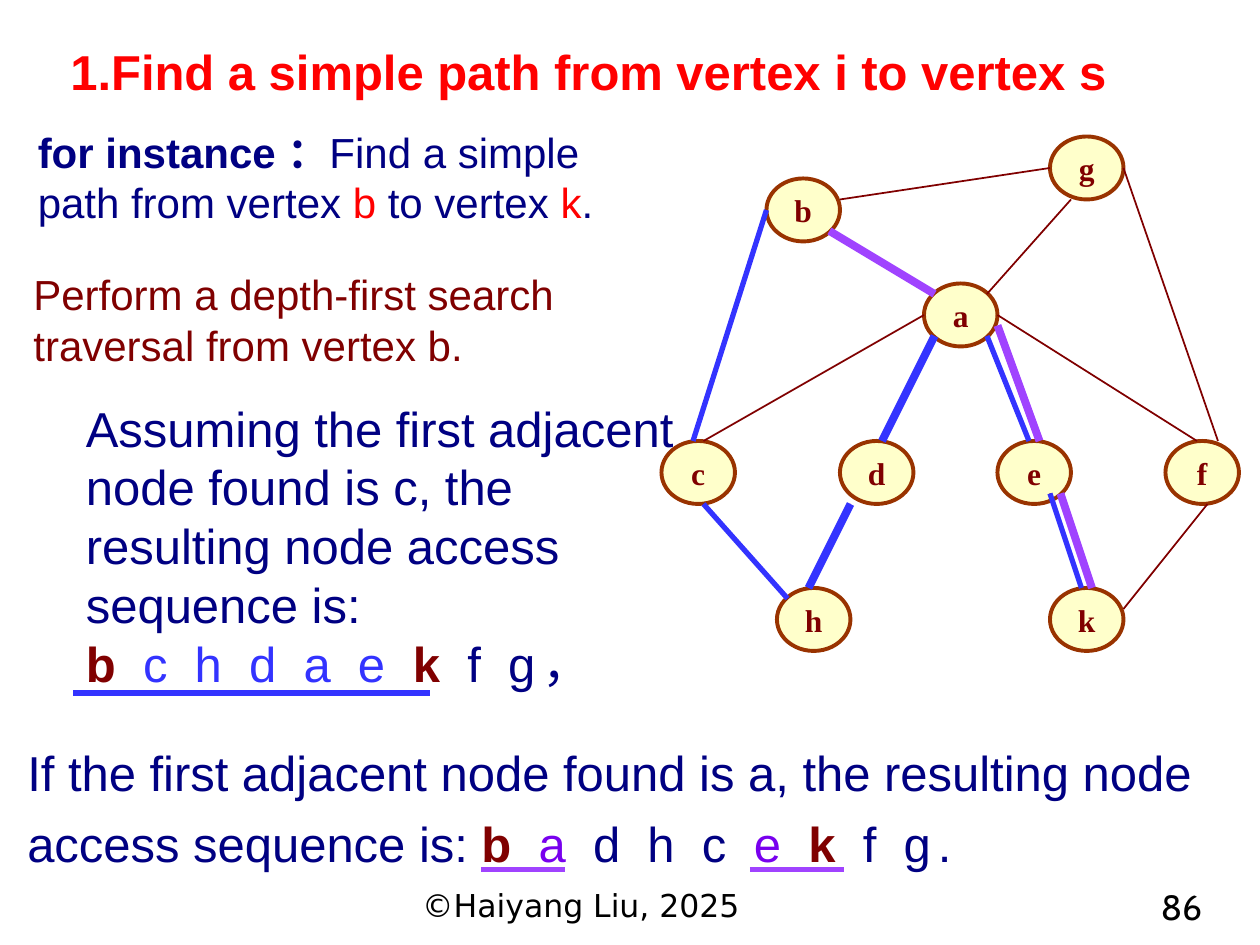
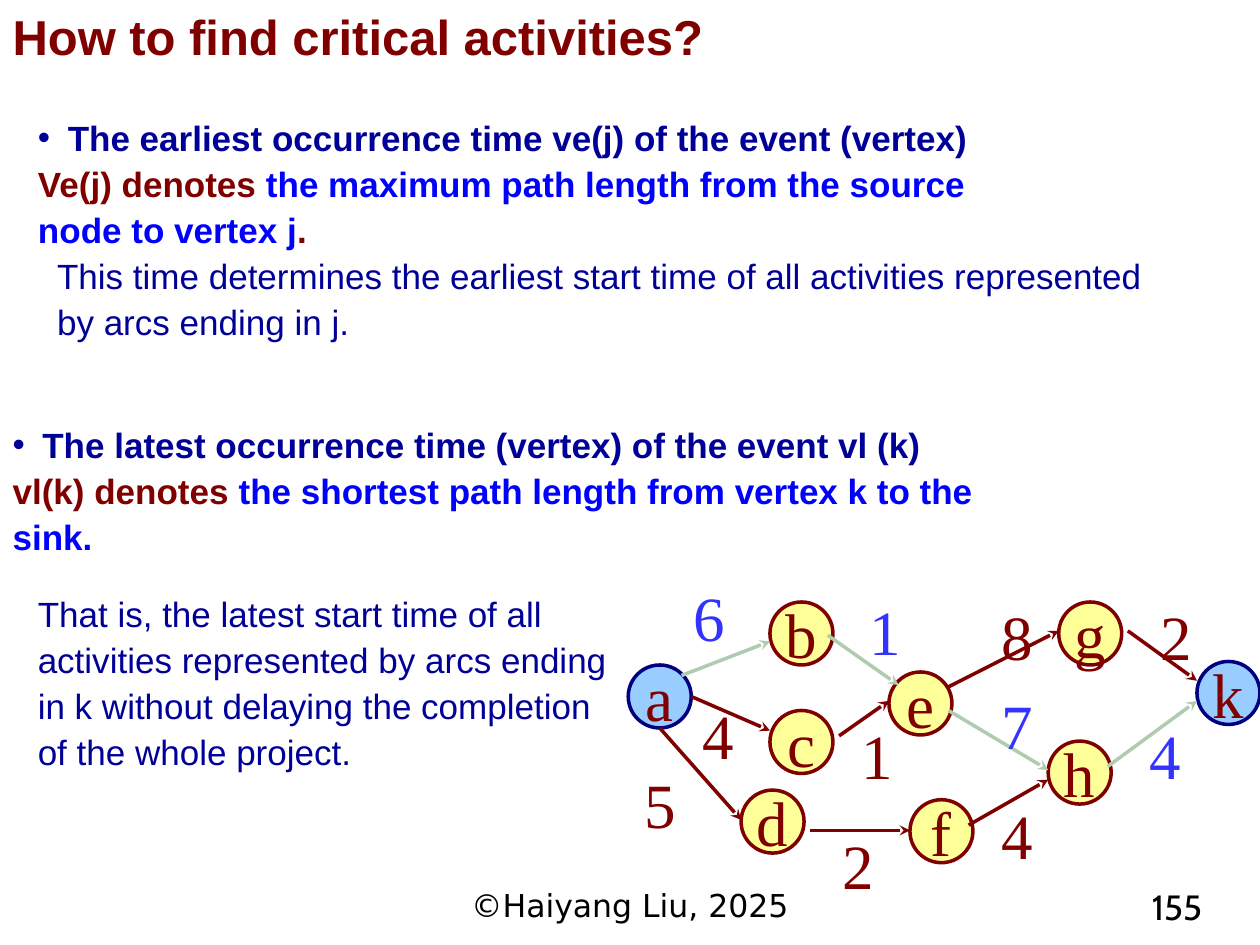
from lxml import etree
from pptx import Presentation
from pptx.dml.color import RGBColor
from pptx.enum import shapes as kinds, text as tx
from pptx.oxml.ns import qn
from pptx.util import Pt

# Shared look
RED = RGBColor(0xFF, 0x00, 0x00)
MAROON = RGBColor(0x80, 0x00, 0x00)
NAVY = RGBColor(0x00, 0x00, 0x82)
INDIGO = RGBColor(0x00, 0x00, 0x99)
DARK_BLUE = RGBColor(0x00, 0x00, 0x80)
BLUE = RGBColor(0x00, 0x00, 0xFF)
BRIGHT_BLUE = RGBColor(0x33, 0x33, 0xFF)
PURPLE = RGBColor(0xA0, 0x43, 0xFF)
VIOLET = RGBColor(0x78, 0x00, 0xEE)
BROWN = RGBColor(0x99, 0x33, 0x00)
YELLOW = RGBColor(0xFF, 0xFF, 0x99)
SKY = RGBColor(0x99, 0xCC, 0xFF)
PALE_GREEN = RGBColor(0xB0, 0xCC, 0xB0)
BLACK = RGBColor(0x00, 0x00, 0x00)
SANS, SERIF = "Arial", "Times New Roman"
TITLE_SIZE = 28
COPYRIGHT = "©Haiyang Liu, 2025"
VISIT_GAP = 3.9  # letter spacing inside a visiting sequence

# Slide 1 content; runs are (text, colour, bold, letter spacing)
PATH_TITLE = "1.Find a simple path from vertex i to vertex s"
INSTANCE = [[("for instance ：", NAVY, True), ("Find a simple path from vertex ", NAVY),
             ("b", RED), (" to vertex ", NAVY), ("k", RED), (".", NAVY)]]
SEARCH = [[("Perform a depth-first search traversal from vertex b.", MAROON)]]
FIRST_C = [
    [("Assuming the first adjacent node found is c, the resulting node access "
      "sequence is:", NAVY)],
    [("b ", MAROON, True, VISIT_GAP), ("c h d a e ", BRIGHT_BLUE, False, VISIT_GAP),
     ("k", MAROON, True, VISIT_GAP), (" f g", NAVY, False, VISIT_GAP), ("，", NAVY)]]
FIRST_A = [
    [("If the first adjacent node found is a, the resulting node access sequence is: ", NAVY),
     ("b ", MAROON, True, VISIT_GAP), ("a", VIOLET, False, VISIT_GAP),
     (" d h c ", NAVY, False, VISIT_GAP), ("e ", VIOLET, False, VISIT_GAP),
     ("k", MAROON, True, VISIT_GAP), (" f g", NAVY, False, VISIT_GAP), (".", NAVY)]]
GRAPH_NODES = {"a": (528, 162), "b": (438, 102), "c": (378, 252), "h": (444, 336),
               "d": (480, 252), "e": (570, 252), "k": (600, 336), "f": (666, 252),
               "g": (600, 78)}
GRAPH_EDGES = {"ac": (528, 180, 402, 252), "ch": (402, 288, 450, 342),
               "gf": (642, 96, 696, 252), "ad": (534, 192, 504, 252),
               "dh": (486, 288, 462, 336), "ek": (600, 282, 618, 336),
               "ae": (564, 192, 588, 252), "af": (570, 180, 684, 252),
               "fk": (690, 288, 642, 348), "bg": (480, 114, 600, 96),
               "ba": (474, 132, 534, 168), "ga": (612, 114, 564, 168),
               "bc": (438, 120, 396, 252)}
PATH_VIA_C = {"bc": 3, "ch": 3, "dh": 4.5, "ad": 4.5, "ae": 3, "ek": 3}
PATH_VIA_A = [GRAPH_EDGES["ba"], (570, 186, 594, 252), (606, 282, 624, 336)]
UNDERLINES = [(42, 246, 396, BRIGHT_BLUE), (275, 323, 497, PURPLE), (428.5, 482.5, 497, PURPLE)]

# Slide 2 content
CRITICAL_TITLE = "How to find critical activities?"
EARLIEST = [
    [("The earliest occurrence time ve(j) of the event (vertex)", INDIGO, True)],
    [("Ve(j) denotes ", MAROON, True),
     ("the maximum path length from the source node to vertex j", BLUE, True),
     (".", MAROON, True)]]
LATEST = [
    [("The latest occurrence time (vertex) of the event vl (k)", INDIGO, True)],
    [("vl(k) denotes ", MAROON, True),
     ("the shortest path length from vertex k to the sink.", BLUE, True)]]
EARLIEST_NOTE = [[("This time determines the earliest start time of all activities "
                   "represented by arcs ending in j.", INDIGO)]]
LATEST_NOTE = [[("That is, the latest start time of all activities represented by arcs "
                 "ending in k without delaying the completion of the whole project.", INDIGO)]]
EVENTS = {"a": (359, 380), "b": (440, 344), "c": (440, 406), "d": (423.5, 451.5),
          "e": (508, 384), "f": (520, 457), "g": (605, 344), "h": (599, 423.5),
          "k": (684, 378)}
# (activity, arrow ends, weight, weight position)
ACTIVITIES = [
    ("ab", (389.5, 386, 440, 366.5), "6", (389, 327)),
    ("ac", (395, 398, 440, 417.5), "4", (394.5, 394.5)),
    ("ad", (377, 416, 423.5, 468.5), "5", (361, 434)),
    ("be", (473, 363, 513.5, 391.5), "1", (490, 335)),
    ("ce", (479.5, 420.5, 508, 400.5), "1", (485, 406)),
    ("df", (463, 474.5, 520, 474.5), "2", (474.5, 468.5)),
    ("eg", (542, 392.5, 605, 360.5), "8", (565, 338)),
    ("eh", (542, 406, 599, 440), "7", (565, 389)),
    ("fh", (553.5, 471.5, 599, 445.5), "4", (565, 451.5)),
    ("gk", (644.5, 360.5, 684, 389), "2", (656, 338)),
    ("hk", (633, 438, 684, 400.5), "4", (650, 406))]
CRITICAL_PATH = {"ab", "be", "eh", "hk"}


def style(font, size, color, name=SANS, bold=False):
    font.size, font.name, font.bold = Pt(size), name, bold
    font.color.rgb = color


def place(shape, box):
    shape.left, shape.top, shape.width, shape.height = map(Pt, box)


def write(frame, paragraphs, size, spacing=None, name=SANS):
    frame.word_wrap = True
    for i, runs in enumerate(paragraphs):
        para = frame.paragraphs[0] if i == 0 else frame.add_paragraph()
        if spacing:
            para.line_spacing = spacing
        for words, color, *rest in runs:
            run = para.add_run()
            run.text = words
            style(run.font, size, color, name, bool(rest and rest[0]))
            if len(rest) > 1:
                run.font._element.set("spc", str(int(rest[1] * 100)))


def add_text(slide, box, paragraphs, size, spacing=None, name=SANS):
    area = slide.shapes.add_textbox(*map(Pt, box))
    write(area.text_frame, paragraphs, size, spacing, name)
    return area.text_frame


def add_title(slide, box, words, color):
    title = slide.shapes.title
    place(title, box)
    frame = title.text_frame
    frame.text = words
    frame.auto_size = tx.MSO_AUTO_SIZE.NONE
    frame.vertical_anchor = tx.MSO_ANCHOR.TOP
    frame.paragraphs[0].alignment = tx.PP_ALIGN.LEFT
    style(frame.paragraphs[0].runs[0].font, TITLE_SIZE, color, bold=True)


def add_definition(body, box, paragraphs):
    """Bulleted term followed by its unbulleted meaning."""
    place(body, box)
    write(body.text_frame, paragraphs, 20, 1.1)
    body.text_frame.auto_size = tx.MSO_AUTO_SIZE.NONE
    for i, para in enumerate(body.text_frame.paragraphs):
        para.space_before = Pt(0)
        props = para._p.get_or_add_pPr()
        hang = Pt(17) if i == 0 else 0
        props.set("marL", str(hang))
        props.set("indent", str(-hang))
        if i == 0:
            etree.SubElement(props, qn("a:buChar")).set("char", "•")
        else:
            etree.SubElement(props, qn("a:buNone"))


def add_node(slide, letter, box, fill, outline, width, size, bold=False, alpha=None):
    node = slide.shapes.add_shape(kinds.MSO_SHAPE.OVAL, *map(Pt, box))
    node.shadow.inherit = False
    node.fill.solid()
    node.fill.fore_color.rgb = fill
    if alpha:
        tint = node._element.spPr.find(qn("a:solidFill"))[0]
        etree.SubElement(tint, qn("a:alpha")).set("val", str(alpha * 1000))
    node.line.color.rgb = outline
    node.line.width = Pt(width)
    frame = node.text_frame
    frame.text = letter
    frame.word_wrap = False
    frame.vertical_anchor = tx.MSO_ANCHOR.MIDDLE
    frame.paragraphs[0].alignment = tx.PP_ALIGN.CENTER
    style(frame.paragraphs[0].runs[0].font, size, MAROON, SERIF, bold)


def add_line(slide, ends, color, width, arrow=False):
    line = slide.shapes.add_connector(kinds.MSO_CONNECTOR.STRAIGHT, *map(Pt, ends))
    line.line.color.rgb = color
    line.line.width = Pt(width)
    if arrow:
        etree.SubElement(line.line._get_or_add_ln(), qn("a:tailEnd")).set("type", "stealth")
    etree.SubElement(line._element.spPr, qn("a:effectLst"))


def add_footer(slide, copyright_left, number):
    for left, width, words, size, name, align in [
            (copyright_left, 228, COPYRIGHT, 18, "DejaVu Sans", tx.PP_ALIGN.CENTER),
            (584, 110, number, 20, "Cabin", tx.PP_ALIGN.RIGHT)]:
        frame = add_text(slide, (left, 502.5, width, 28), [[(words, BLACK)]], size, name=name)
        frame.paragraphs[0].alignment = align


def build_path_slide(prs):
    slide = prs.slides.add_slide(prs.slide_layouts[5])
    add_title(slide, (33, 20, 675, 41), PATH_TITLE, RED)

    # Graph with both search paths
    for letter, corner in GRAPH_NODES.items():
        add_node(slide, letter, (*corner, 42, 36), YELLOW, BROWN, 2.25, 18, True, 50)
    for ends in GRAPH_EDGES.values():
        add_line(slide, ends, MAROON, 1)
    for edge, width in PATH_VIA_C.items():
        add_line(slide, GRAPH_EDGES[edge], BRIGHT_BLUE, width)
    for ends in PATH_VIA_A:
        add_line(slide, ends, PURPLE, 4.5)

    # Explanation and underlined sequences
    add_text(slide, (14.5, 68.5, 360, 65.5), INSTANCE, 24)
    add_text(slide, (12, 150, 348, 65.5), SEARCH, 24)
    add_text(slide, (42, 224, 360, 177), FIRST_C, 28)
    add_text(slide, (8.5, 414, 711, 88.5), FIRST_A, 28, 1.2)
    for left, right, y, color in UNDERLINES:
        add_line(slide, (left, y, right, y), color, 3)
    add_footer(slide, 218, "86")


def build_critical_slide(prs):
    slide = prs.slides.add_slide(prs.slide_layouts[3])
    add_title(slide, (0, 0, 469, 41), CRITICAL_TITLE, MAROON)

    # Definitions and notes
    earliest, latest = list(slide.placeholders)[1:3]
    add_definition(earliest, (14.5, 60.5, 578, 87), EARLIEST)
    add_definition(latest, (0, 236, 579.5, 87), LATEST)
    add_text(slide, (25.5, 139.5, 635, 60.5), EARLIEST_NOTE, 20, 1.1)
    add_text(slide, (14.5, 332.5, 345.5, 114), LATEST_NOTE, 20, 1.1)

    # Activity network
    for letter, corner in EVENTS.items():
        is_end = letter in "ak"
        add_node(slide, letter, (*corner, 36, 36), SKY if is_end else YELLOW,
                 DARK_BLUE if is_end else MAROON, 2, 36)
    for activity, ends, weight, corner in ACTIVITIES:
        critical = activity in CRITICAL_PATH
        add_line(slide, ends, PALE_GREEN if critical else MAROON, 2, arrow=True)
        label = add_text(slide, (*corner, 32.4, 50.4),
                         [[(weight, BRIGHT_BLUE if critical else MAROON)]], 36, name=SERIF)
        label.word_wrap = False
    add_footer(slide, 246, "155")


def main():
    prs = Presentation()
    prs.slide_width, prs.slide_height = Pt(720), Pt(540)
    build_path_slide(prs)
    build_critical_slide(prs)
    prs.save("out.pptx")


if __name__ == "__main__":
    main()
